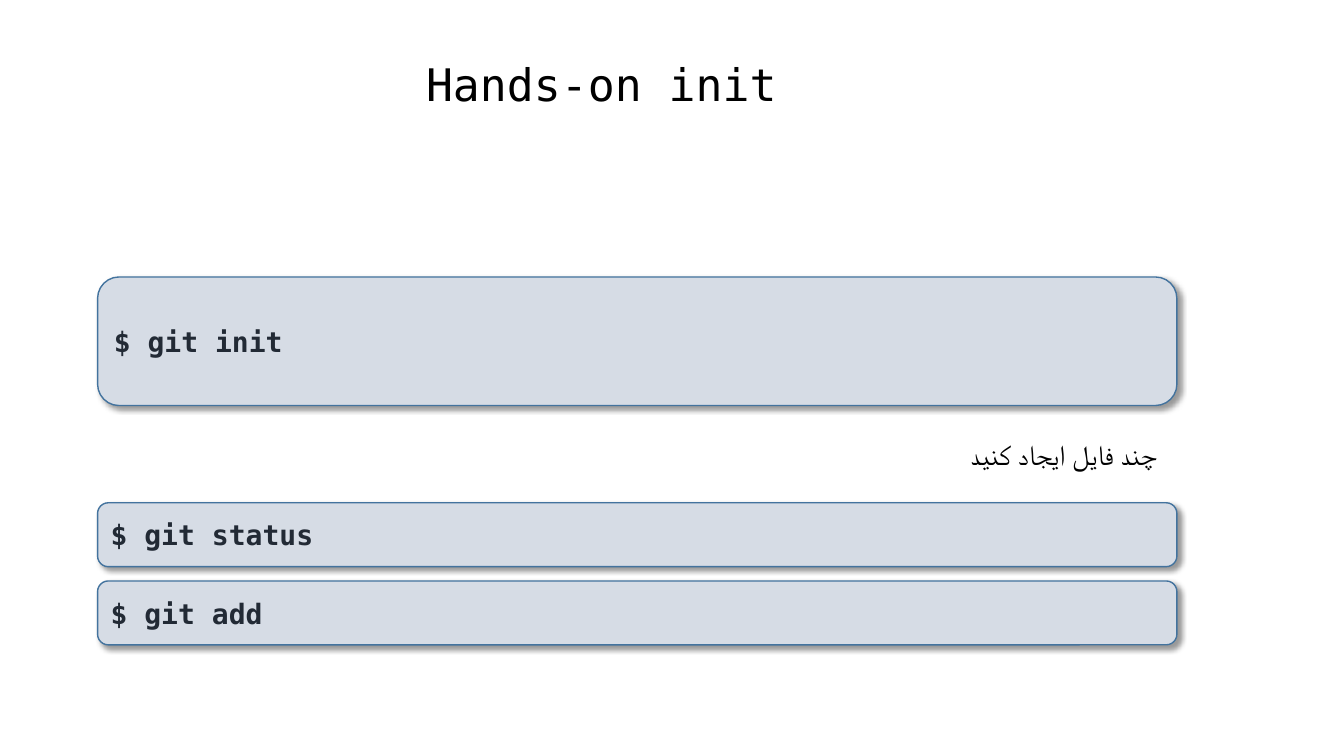
"""Build the "Hands-on init" slide with its git command boxes."""
from dataclasses import dataclass

from lxml.etree import SubElement
from pptx import Presentation
from pptx.dml.color import RGBColor
from pptx.enum.shapes import MSO_SHAPE
from pptx.enum.text import MSO_ANCHOR, PP_ALIGN
from pptx.oxml.ns import qn
from pptx.shapes.autoshape import Shape
from pptx.slide import Slide
from pptx.util import Cm, Pt

COLORS = {
    "text": "000000",
    "code": "222A35",
    "fill": "D6DCE5",
    "line": "43739E",
    "shadow": "000000",
}
FONT = "DejaVu Sans Mono"
LEFT = 2.46
BOX_WIDTH = 27.2
LABEL_WIDTH = 25.4


@dataclass(frozen=True)
class Command:
    text: str
    top: float
    height: float


@dataclass(frozen=True)
class Label:
    text: str
    left: float
    top: float
    height: float
    size: int
    align: PP_ALIGN
    rtl: bool = False


COMMANDS = [
    Command("$ git init", 6.98, 3.24),
    Command("$ git status", 12.67, 1.61),
    Command("$ git add", 14.64, 1.61),
]
LABELS = [
    Label("Hands-on init", LEFT, 0.86, 2.06, 32, PP_ALIGN.CENTER),
    Label("چند فایل ایجاد کنید", 4.0, 10.69, 1.32, 20, PP_ALIGN.RIGHT, True),
]


def color(name: str) -> RGBColor:
    return RGBColor.from_string(COLORS[name])


def write(sp: Shape, text: str, size: int, ink: str, bold: bool = False) -> None:
    tf = sp.text_frame
    tf.word_wrap = True
    tf.text = text
    r = tf.paragraphs[0].runs[0]
    r.font.name = FONT
    r.font.size = Pt(size)
    r.font.bold = bold
    r.font.color.rgb = color(ink)


def add_shadow(sp: Shape) -> None:
    sp.shadow.inherit = False
    effects = sp._element.spPr.find(qn("a:effectLst"))
    outer = SubElement(effects, qn("a:outerShdw"), blurRad="50800", dist="38100",
                       dir="2700000", algn="tl", rotWithShape="0")
    shade = SubElement(outer, qn("a:srgbClr"), val=COLORS["shadow"])
    SubElement(shade, qn("a:alpha"), val="40000")


def add_command(s: Slide, command: Command) -> None:
    sp = s.shapes.add_shape(MSO_SHAPE.ROUNDED_RECTANGLE, Cm(LEFT), Cm(command.top),
                            Cm(BOX_WIDTH), Cm(command.height))
    sp.fill.solid()
    sp.fill.fore_color.rgb = color("fill")
    sp.line.color.rgb = color("line")
    sp.line.width = Pt(1)
    add_shadow(sp)
    write(sp, command.text, 20, "code", bold=True)
    sp.text_frame.vertical_anchor = MSO_ANCHOR.MIDDLE
    sp.text_frame.paragraphs[0].alignment = PP_ALIGN.LEFT


def add_label(s: Slide, label: Label) -> None:
    sp = s.shapes.add_textbox(Cm(label.left), Cm(label.top), Cm(LABEL_WIDTH), Cm(label.height))
    write(sp, label.text, label.size, "text")
    sp.text_frame.vertical_anchor = MSO_ANCHOR.BOTTOM
    p = sp.text_frame.paragraphs[0]
    p.alignment = label.align
    p.line_spacing = 0.9
    if label.rtl:
        p._p.get_or_add_pPr().set("rtl", "1")


def main() -> None:
    prs = Presentation()
    prs.slide_width = Cm(33.87)
    prs.slide_height = Cm(19.05)
    s = prs.slides.add_slide(prs.slide_layouts[6])
    for label in LABELS:
        add_label(s, label)
    for command in COMMANDS:
        add_command(s, command)
    prs.save("out.pptx")


if __name__ == "__main__":
    main()
